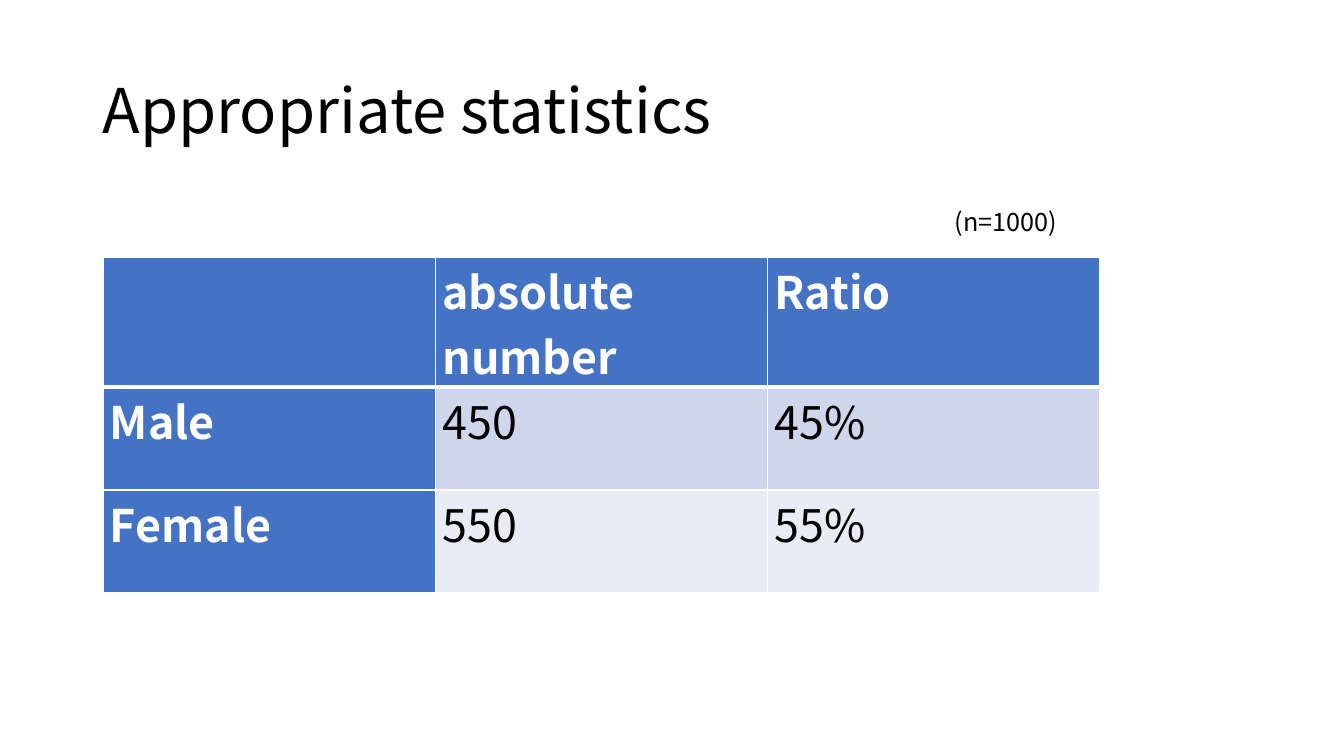
from lxml.etree import SubElement
from pptx import Presentation
from pptx.dml.color import RGBColor
from pptx.enum.text import MSO_ANCHOR, MSO_AUTO_SIZE, PP_ALIGN
from pptx.oxml.ns import qn
from pptx.util import Pt

PX = 914400 / 100.8
FONT = "Noto Sans CJK JP"
COLORS = {
    "text": "000000",
    "white": "FFFFFF",
    "header": "4472C4",
    "odd": "CFD5EA",
    "even": "E9EBF5",
}
STATISTICS = [
    ["", "absolute number", "Ratio"],
    ["Male", "450", "45%"],
    ["Female", "550", "55%"],
]
HEADER_HEIGHT = 130


def px(length):
    """Turn pixels into EMU."""
    return round(length * PX)


def format_runs(para, size, color, bold=False):
    """Give every run of a paragraph its font."""
    for span in para.runs:
        span.font.name = FONT
        span.font.size = Pt(size)
        span.font.bold = bold
        span.font.color.rgb = RGBColor.from_string(COLORS[color])


def add_label(page, box, text, size):
    """Add a line of text in a box and return its text frame."""
    frame = page.shapes.add_textbox(*map(px, box)).text_frame
    frame.text = text
    format_runs(frame.paragraphs[0], size, "text")
    return frame


def add_title(page, box):
    """Add the slide title, centred vertically in its box."""
    frame = add_label(page, box, "Appropriate statistics", 44)
    frame.word_wrap = True
    frame.vertical_anchor = MSO_ANCHOR.MIDDLE
    frame.paragraphs[0].line_spacing = 0.9


def add_sample_size(page, box):
    """Add the sample size note."""
    frame = add_label(page, box, "(n=1000)", 18)
    frame.word_wrap = False
    frame.auto_size = MSO_AUTO_SIZE.SHAPE_TO_FIT_TEXT


def set_borders(cell, bottom, top):
    """Draw white borders with the given bottom and top widths in points."""
    properties = cell._tc.get_or_add_tcPr()
    for side, width in (("L", 1), ("R", 1), ("T", top), ("B", bottom)):
        line = SubElement(properties, qn(f"a:ln{side}"), w=str(Pt(width)))
        fill = SubElement(line, qn("a:solidFill"))
        SubElement(fill, qn("a:srgbClr"), val=COLORS["white"])


def format_cell(cell, row, column):
    """Style a cell by its place in the table."""
    is_header = row == 0 or column == 0
    fill = "header" if is_header else "odd" if row % 2 else "even"
    set_borders(cell, bottom=3 if row == 0 else 1, top=3 if row == 1 else 1)
    cell.fill.solid()
    cell.fill.fore_color.rgb = RGBColor.from_string(COLORS[fill])
    cell.margin_left = cell.margin_right = px(7)
    cell.margin_top = cell.margin_bottom = 0
    para = cell.text_frame.paragraphs[0]
    para.alignment = PP_ALIGN.JUSTIFY
    format_runs(para, 32, "white" if is_header else "text", is_header)


def add_statistics(page, box):
    """Add the table with a tall header row and equal rows below it."""
    table = page.shapes.add_table(
        len(STATISTICS), len(STATISTICS[0]), *map(px, box)
    ).table
    body_height = (box[3] - HEADER_HEIGHT) / (len(STATISTICS) - 1)
    for row, texts in enumerate(STATISTICS):
        table.rows[row].height = px(body_height if row else HEADER_HEIGHT)
        for column, text in enumerate(texts):
            cell = table.cell(row, column)
            cell.text_frame.text = text
            format_cell(cell, row, column)


def main():
    """Build and save the slide."""
    deck = Presentation()
    deck.slide_width, deck.slide_height = px(1344), px(756)
    page = deck.slides.add_slide(deck.slide_layouts[6])
    add_title(page, (93, 41, 1159, 146))
    add_statistics(page, (103, 257, 997, 336))
    add_sample_size(page, (945, 201, 130, 40))
    deck.save("out.pptx")


if __name__ == "__main__":
    main()
